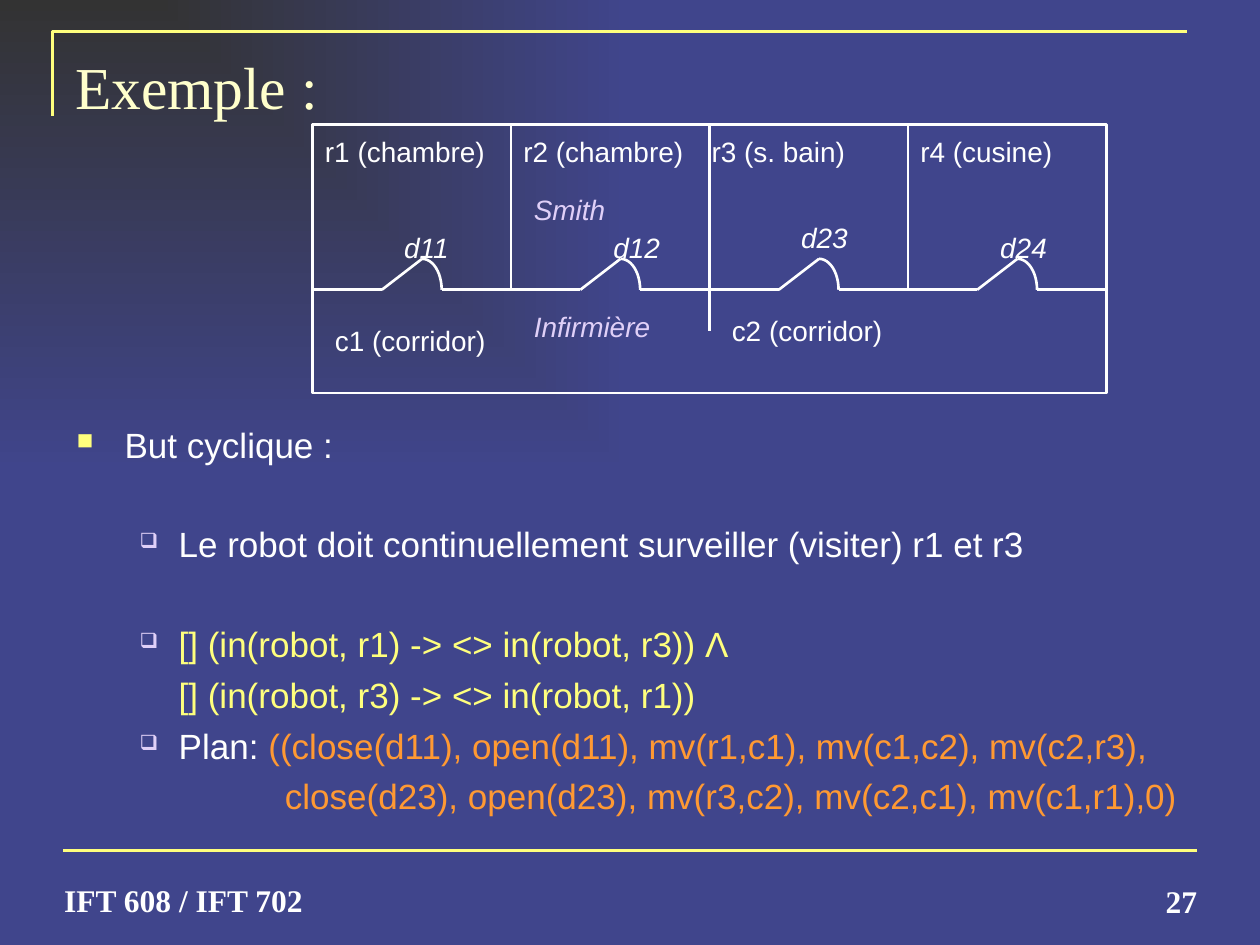
from dataclasses import dataclass
from math import cos, pi, sin

from lxml import etree
from pptx import Presentation
from pptx import util as u
from pptx.dml.color import RGBColor
from pptx.enum import shapes, text
from pptx.oxml import ns

COLORS = {
    "dark": "333333",
    "blue": "40458C",
    "yellow": "FFFF7D",
    "cream": "FFFFCC",
    "white": "FFFFFF",
    "lilac": "E0D0F8",
    "orange": "FF9933",
}
LEFT, TOP, ROOM_WIDTH, WALL_Y, BOTTOM = 178.6, 71.3, 113.4, 165.6, 224.6
DOOR_START, DOOR_TIP, DOOR_END, DOOR_HEIGHT = 39.6, 62.6, 73.8, 17.7
ARC_STEPS = 12


@dataclass(frozen=True)
class Run:
    words: str
    color: str = "white"
    size: float = 20
    font: str = "Arial"
    bold: bool = False
    italic: bool = False


@dataclass(frozen=True)
class Label:
    left: float
    top: float
    width: float
    height: float
    run: Run
    inset: tuple = (7.2, 3.6)
    wrap: bool = True
    align: text.PP_ALIGN = text.PP_ALIGN.LEFT
    anchor: text.MSO_ANCHOR = text.MSO_ANCHOR.TOP


@dataclass(frozen=True)
class Item:
    runs: tuple
    margin: float
    hanging: float = 0
    bullet: str = ""
    bullet_color: str = "lilac"
    bullet_percent: int = 60
    space_before: float = 5


def rgb(name: str) -> RGBColor:
    return RGBColor.from_string(COLORS[name])


def map_label(words: str, left: float, top: float, width: float,
              color: str = "white", italic: bool = False) -> Label:
    return Label(left, top, width, 26.6, Run(words, color, 16, italic=italic), wrap=False)


LABELS = [
    Label(36, 21.6, 648, 90, Run("Exemple :", "cream", 34, "Times New Roman"), (7.2, 7)),
    Label(36.7, 502.6, 147.6, 23, Run("IFT 608 / IFT 702", size=18, font="Times New Roman", bold=True), (0, 1)),
    Label(632.2, 502.6, 51.8, 23, Run("27", size=18, font="Times New Roman", bold=True), (0, 0),
          align=text.PP_ALIGN.RIGHT, anchor=text.MSO_ANCHOR.BOTTOM),
    map_label("r1 (chambre)", 178.6, 73.4, 106.6),
    map_label("r2 (chambre)", 292, 73.4, 106.6),
    map_label("r3 (s. bain)", 399.6, 73.4, 91.4),
    map_label("r4 (cusine)", 518.8, 73.4, 90),
    map_label("c1 (corridor)", 184.3, 181.4, 100.8),
    map_label("c2 (corridor)", 411.1, 175.7, 100.8),
    map_label("Smith", 298, 106.6, 55.4, "lilac", True),
    map_label("Infirmière", 298, 173.5, 81.4, "lilac", True),
    map_label("d11", 223.9, 128.2, 41, italic=True),
    map_label("d12", 343.4, 128.2, 41, italic=True),
    map_label("d23", 450.7, 122.4, 41, italic=True),
    map_label("d24", 564.5, 128.2, 41, italic=True),
]

ITEMS = [
    Item((Run("But cyclique :"),), 27.4, -27.4, "■", "yellow", 65, 0),
    Item((Run("Le robot doit continuellement surveiller (visiter) r1 et r3"),),
         58.3, -22.3, "❑", space_before=33),
    Item((Run("[] (in(robot, r1) -> <> in(robot, r3)) Λ", "yellow"),),
         58.3, -22.3, "❑", space_before=33),
    Item((Run("[] (in(robot, r3) -> <> in(robot, r1))", "yellow"),), 58.3),
    Item((Run("Plan: "),
          Run("((close(d11), open(d11), mv(r1,c1), mv(c1,c2), mv(c2,r3),", "orange")),
         58.3, -22.3, "❑"),
    Item((Run("close(d23), open(d23), mv(r3,c2), mv(c2,c1), mv(c1,r1),0)", "orange"),), 119),
]


def set_background(slide) -> None:
    fill = slide.background.fill
    fill.gradient()
    for stop, name, position in zip(fill.gradient_stops, ("dark", "blue"), (0, 1)):
        stop.color.rgb = rgb(name)
        stop.position = position
    linear = slide.background._cSld.find(".//" + ns.qn("a:lin"))
    path = etree.Element(ns.qn("a:path"), {"path": "rect"})
    etree.SubElement(path, ns.qn("a:fillToRect"), r="100000", b="100000")
    linear.getparent().replace(linear, path)


def style_line(shape, color: str) -> None:
    shape.line.color.rgb = rgb(color)
    shape.line.width = u.Pt(1.5)


def add_line(slide, start: tuple, end: tuple, color: str = "white") -> None:
    connector = slide.shapes.add_connector(
        shapes.MSO_CONNECTOR.STRAIGHT, *(u.Pt(value) for value in start + end))
    style_line(connector, color)
    etree.SubElement(connector._element.spPr, ns.qn("a:effectLst"))


def add_outline(slide, points: list, color: str = "white") -> None:
    scaled = [(u.Pt(x), u.Pt(y)) for x, y in points]
    builder = slide.shapes.build_freeform(*scaled[0])
    builder.add_line_segments(scaled[1:], close=False)
    shape = builder.convert_to_shape()
    shape.shadow.inherit = False
    shape.fill.background()
    style_line(shape, color)


def add_run(paragraph, content: Run) -> None:
    run = paragraph.add_run()
    run.text = content.words
    run.font.size = u.Pt(content.size)
    run.font.name = content.font
    run.font.bold = content.bold
    run.font.italic = content.italic
    run.font.color.rgb = rgb(content.color)


def add_label(slide, label: Label) -> None:
    box = slide.shapes.add_textbox(*(u.Pt(value) for value in (
        label.left, label.top, label.width, label.height)))
    frame = box.text_frame
    frame.word_wrap = label.wrap
    frame.vertical_anchor = label.anchor
    frame.margin_left = frame.margin_right = u.Pt(label.inset[0])
    frame.margin_top = frame.margin_bottom = u.Pt(label.inset[1])
    frame.paragraphs[0].alignment = label.align
    add_run(frame.paragraphs[0], label.run)


def format_item(paragraph, item: Item) -> None:
    paragraph.space_before = u.Pt(item.space_before)
    properties = paragraph._p.get_or_add_pPr()
    properties.set("marL", str(u.Pt(item.margin)))
    properties.set("indent", str(u.Pt(item.hanging)))
    if item.bullet:
        color = etree.SubElement(properties, ns.qn("a:buClr"))
        etree.SubElement(color, ns.qn("a:srgbClr"), val=COLORS[item.bullet_color])
        etree.SubElement(properties, ns.qn("a:buSzPct"), val=str(item.bullet_percent * 1000))
        etree.SubElement(properties, ns.qn("a:buChar"), char=item.bullet)
    for run in item.runs:
        add_run(paragraph, run)


def add_body(slide, items: list) -> None:
    box = slide.shapes.add_textbox(u.Pt(36.7), u.Pt(236.2), u.Pt(647.3), u.Pt(244))
    frame = box.text_frame
    frame.word_wrap = True
    frame.margin_top = u.Pt(5.6)
    for index, item in enumerate(items):
        paragraph = frame.add_paragraph() if index else frame.paragraphs[0]
        format_item(paragraph, item)


def add_room(slide, left: float) -> None:
    hinge, tip, end = (left + offset for offset in (DOOR_START, DOOR_TIP, DOOR_END))
    add_line(slide, (left, WALL_Y), (hinge, WALL_Y))
    add_line(slide, (end, WALL_Y), (left + ROOM_WIDTH, WALL_Y))
    add_line(slide, (hinge, WALL_Y), (tip, WALL_Y - DOOR_HEIGHT))
    angles = [step * pi / 2 / ARC_STEPS for step in range(ARC_STEPS + 1)]
    add_outline(slide, [(tip + (end - tip) * sin(angle), WALL_Y - DOOR_HEIGHT * cos(angle))
                        for angle in angles])


def add_floor_plan(slide) -> None:
    outer = slide.shapes.add_shape(shapes.MSO_SHAPE.RECTANGLE, u.Pt(LEFT), u.Pt(TOP),
                                   u.Pt(4 * ROOM_WIDTH), u.Pt(BOTTOM - TOP))
    outer.shadow.inherit = False
    outer.fill.background()
    style_line(outer, "white")
    for room in range(4):
        add_room(slide, LEFT + room * ROOM_WIDTH)
    for room, bottom in ((1, WALL_Y), (2, 189.4), (3, WALL_Y)):
        x = LEFT + room * ROOM_WIDTH
        add_line(slide, (x, TOP), (x, bottom))


def main() -> None:
    presentation = Presentation()
    presentation.slide_width, presentation.slide_height = u.Pt(720), u.Pt(540)
    slide = presentation.slides.add_slide(presentation.slide_layouts[6])
    set_background(slide)
    add_outline(slide, [(30.2, 66.2), (30.2, 18), (678.2, 18)], "yellow")
    add_line(slide, (36, 486), (684, 486), "yellow")
    add_body(slide, ITEMS)
    add_floor_plan(slide)
    for label in LABELS:
        add_label(slide, label)
    presentation.save("out.pptx")


if __name__ == "__main__":
    main()
